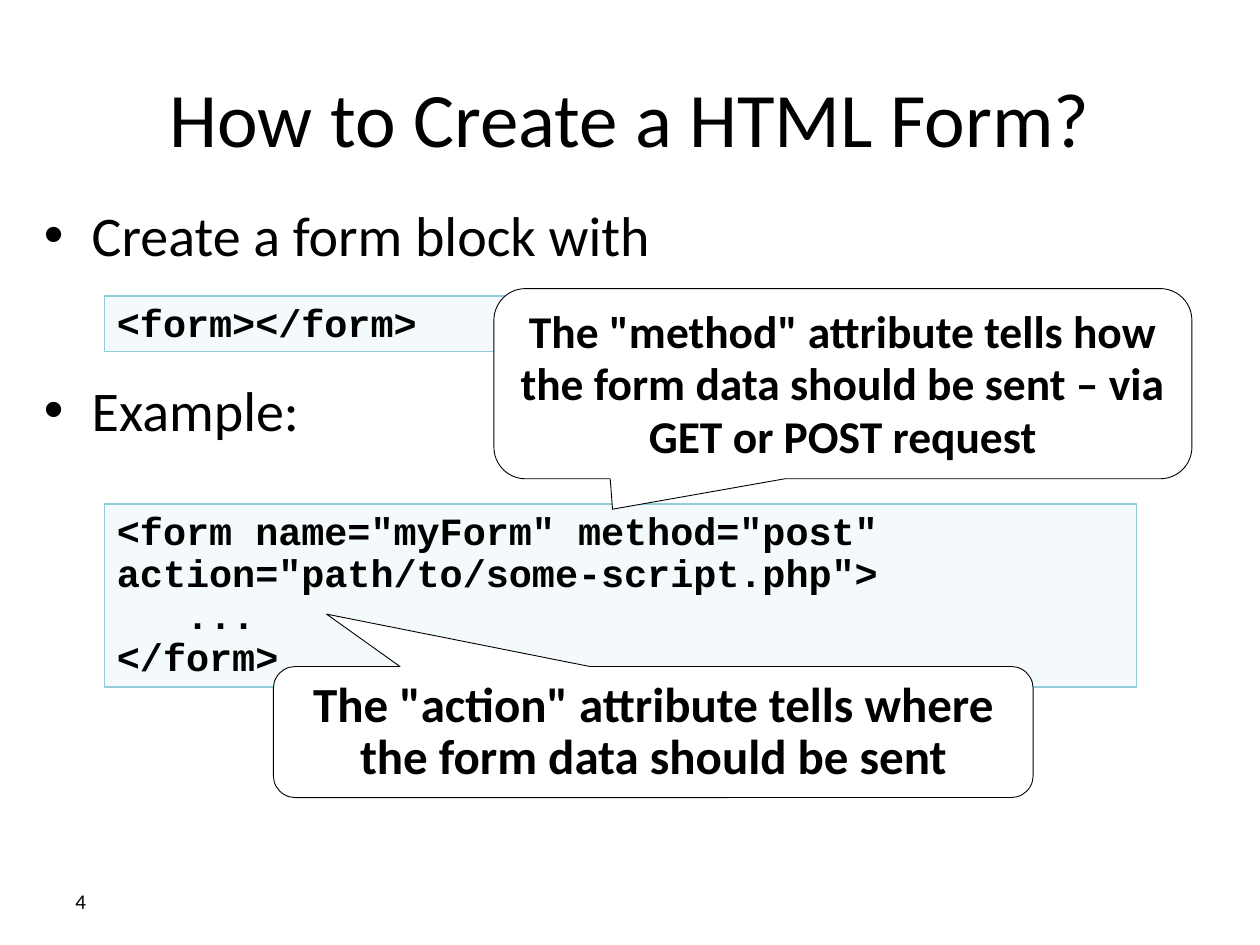
from dataclasses import dataclass
from lxml.etree import SubElement
from pptx import Presentation
from pptx.dml.color import RGBColor
from pptx.enum.shapes import MSO_SHAPE
from pptx.enum.text import MSO_ANCHOR, PP_ALIGN
from pptx.oxml.ns import qn
from pptx.slide import Slide
from pptx.util import Inches, Pt


def paint(color_format, hex_color):
    color_format.rgb = RGBColor.from_string(hex_color)


@dataclass
class FormSlide:
    """Places elements on a grid of 100 columns by 75 rows."""
    slide: Slide
    cell: float = 0.1
    body_font: str = "Calibri"
    code_font: str = "Courier New"
    ink: str = "000000"
    paper: str = "FFFFFF"
    code_fill: str = "B7DEE8"
    code_line: str = "93CDDD"

    def box(self, *grid_lengths):
        return [Inches(round(length * self.cell, 2)) for length in grid_lengths]

    def style(self, paragraph, size, font=None, bold=False,
              align=PP_ALIGN.LEFT, spacing=None):
        paragraph.alignment = align
        if spacing:
            paragraph.line_spacing = Pt(spacing)
        paragraph.font.name = font or self.body_font
        paragraph.font.size = Pt(size)
        paragraph.font.bold = bold
        paint(paragraph.font.color, self.ink)

    def title(self, text, place):
        heading = self.slide.shapes.title
        heading.left, heading.top, heading.width, heading.height = self.box(*place)
        frame = heading.text_frame
        frame.text = text
        frame.vertical_anchor = MSO_ANCHOR.MIDDLE
        self.style(frame.paragraphs[0], 44, align=PP_ALIGN.CENTER)

    def text_frame(self, lines, place, anchor):
        frame = self.slide.shapes.add_textbox(*self.box(*place)).text_frame
        frame.word_wrap = True
        frame.vertical_anchor = anchor
        frame.text = "\n".join(lines)
        return frame

    def bullets(self, lines, place, gap):
        frame = self.text_frame(lines, place, MSO_ANCHOR.TOP)
        for index, paragraph in enumerate(frame.paragraphs):
            properties = paragraph._p.get_or_add_pPr()
            properties.set("marL", str(Inches(0.38)))
            properties.set("indent", str(-Inches(0.38)))
            SubElement(properties, qn("a:buFont"), typeface="Arial")
            SubElement(properties, qn("a:buChar"), char="•")
            if index:
                paragraph.space_before = Pt(gap)
            self.style(paragraph, 32)

    def page_number(self, number, place):
        frame = self.text_frame([number], place, MSO_ANCHOR.MIDDLE)
        self.style(frame.paragraphs[0], 12)

    def panel(self, preset, lines, place, fill, line, line_width, **text_style):
        shape = self.slide.shapes.add_shape(preset, *self.box(*place))
        shape.shadow.inherit = False
        shape.fill.solid()
        paint(shape.fill.fore_color, fill)
        paint(shape.line.color, line)
        shape.line.width = Pt(line_width)
        frame = shape.text_frame
        frame.word_wrap = True
        frame.vertical_anchor = MSO_ANCHOR.MIDDLE
        frame.text = "\n".join(lines)
        for paragraph in frame.paragraphs:
            self.style(paragraph, bold=True, **text_style)
        return shape

    def code(self, lines, place):
        block = self.panel(MSO_SHAPE.RECTANGLE, lines, place, self.code_fill,
                           self.code_line, 1, size=22, font=self.code_font,
                           spacing=24)
        tint = block.fill._xPr.find(qn("a:solidFill"))[0]
        SubElement(tint, qn("a:alpha"), val="15000")

    def callout(self, text, place, pointer, size):
        bubble = self.panel(MSO_SHAPE.ROUNDED_RECTANGULAR_CALLOUT, [text], place,
                            self.paper, self.ink, 0.5, size=size,
                            align=PP_ALIGN.CENTER, spacing=30)
        for index, share in enumerate(pointer):
            bubble.adjustments[index] = share


def main():
    presentation = Presentation()
    presentation.slide_width, presentation.slide_height = Inches(10), Inches(7.5)
    title_only = presentation.slide_layouts[5]
    page = FormSlide(presentation.slides.add_slide(title_only))

    # Heading, bullet points and page number
    page.title("How to Create a HTML Form?", (5, 3, 90, 12.5))
    page.bullets(["Create a form block with", "Example:"],
                 (2.5, 15.4, 95, 45.4), gap=62)
    page.page_number("4", (5, 69.5, 23.3, 4))

    # Code samples share a left edge and a width
    code_left, code_width = 8.3, 81.9
    page.code(["<form></form>"], (code_left, 23.5, code_width, 4.4))
    page.code(['<form name="myForm" method="post" action="path/to/some-script.php">',
               "   ...", "</form>"], (code_left, 40, code_width, 14.5))

    # Explanations of the two attributes
    page.callout('The "action" attribute tells where the form data should be sent',
                 (21.7, 52.9, 60.3, 10.4), pointer=(-0.43, -0.9), size=28)
    page.callout('The "method" attribute tells how the form data should be sent '
                 "– via GET or POST request",
                 (39.2, 22.9, 55.4, 15.1), pointer=(-0.33, 0.66), size=26)

    presentation.save("out.pptx")


if __name__ == "__main__":
    main()
